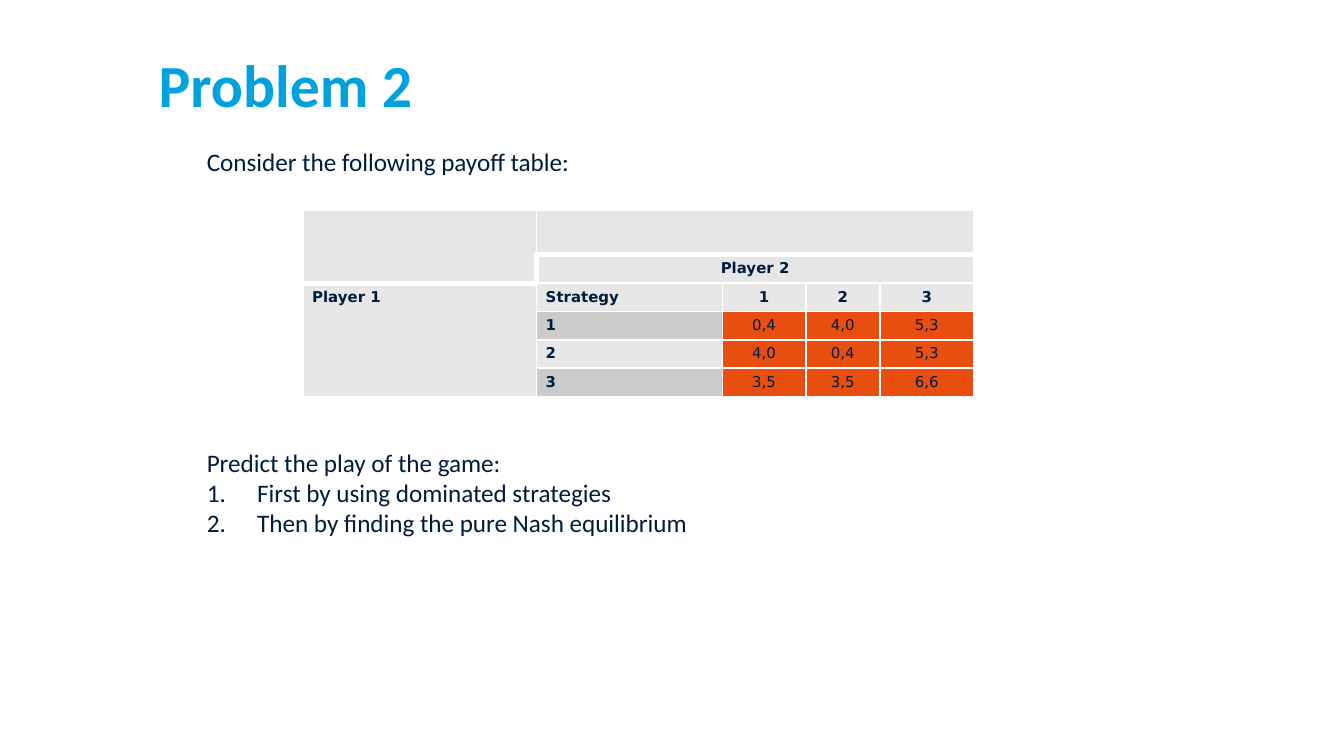
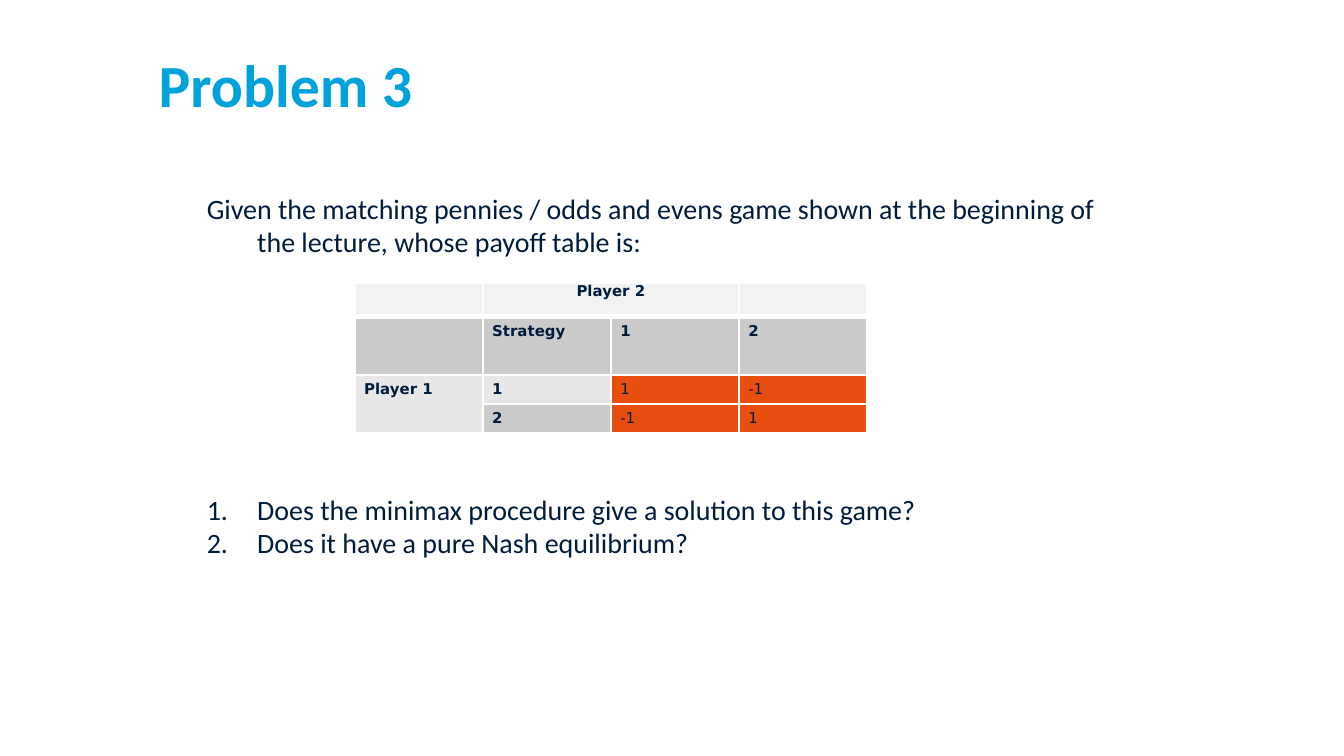
from lxml.etree import SubElement
from pptx import Presentation
from pptx.dml.color import RGBColor
from pptx.enum.text import MSO_ANCHOR, PP_ALIGN
from pptx.oxml.ns import qn
from pptx.util import Pt

TITLE_BLUE = "00A2DB"
NAVY = "001C3D"
WHITE = "FFFFFF"
CELL_FILLS = {"H": "E6E6E6", "T": "F2F2F2", "L": "E7E7E7", "D": "CBCBCB", "P": "E84E10"}
BODY_FONT = "Calibri"
TABLE_FONT = "DejaVu Sans"
TABLE_SIZE = 8
COLUMN_WIDTH = 492.5
INDENT = 27


def color(hex_string):
    return RGBColor.from_string(hex_string)


def add_span(para, text, font, size, ink, bold=False):
    span = para.add_run()
    span.text = text
    span.font.name = font
    span.font.size = Pt(size)
    span.font.bold = bold
    span.font.color.rgb = color(ink)


def add_frame(page, left, top, height):
    """Add a wrapping text box without insets and return its text frame."""
    box = page.shapes.add_textbox(Pt(left), Pt(top), Pt(COLUMN_WIDTH), Pt(height))
    frame = box.text_frame
    frame.word_wrap = True
    frame.margin_left = frame.margin_right = 0
    frame.margin_top = frame.margin_bottom = 0
    return frame


def add_title(page, text):
    frame = add_frame(page, 85, 22.3, 44.6)
    frame.vertical_anchor = MSO_ANCHOR.MIDDLE
    add_span(frame.paragraphs[0], text, BODY_FONT, 32, TITLE_BLUE, bold=True)


def add_body(page, top, size, lines):
    """Add lines given as (text, kind, space before); kind is plain, hanging or numbered."""
    frame = add_frame(page, 110.8, top, 263.5)
    for index, (text, kind, space_before) in enumerate(lines):
        para = frame.add_paragraph() if index else frame.paragraphs[0]
        para.line_spacing = 0.98
        para.space_before = Pt(space_before)
        if kind != "plain":
            properties = para._p.get_or_add_pPr()
            properties.set("marL", str(Pt(INDENT)))
            properties.set("indent", str(Pt(-INDENT)))
            if kind == "numbered":
                SubElement(properties, qn("a:buFont"), typeface="+mj-lt")
                SubElement(properties, qn("a:buAutoNum"), type="arabicPeriod")
        add_span(para, text, BODY_FONT, size, NAVY)


def set_borders(cell, thick_sides):
    properties = cell._tc.get_or_add_tcPr()
    for side in "LRTB":
        width = 3 if side in thick_sides else 1
        line = SubElement(properties, qn(f"a:ln{side}"), w=str(Pt(width)))
        fill = SubElement(line, qn("a:solidFill"))
        SubElement(fill, qn("a:srgbClr"), val=WHITE)


def add_payoff_table(page, left, top, widths, heights, texts, fills, merges,
                     thick_below, thick_left=(), centred_from=2,
                     margins=(2.7, 2.7), line_spacing=1.0):
    """Add a table; fills holds one CELL_FILLS key per cell, P marking a payoff."""
    table = page.shapes.add_table(
        len(heights), len(widths), Pt(left), Pt(top), Pt(sum(widths)), Pt(sum(heights))).table
    table.first_row = table.horz_banding = False
    for column, width in zip(table.columns, widths):
        column.width = Pt(width)
    for row, height in zip(table.rows, heights):
        row.height = Pt(height)
    for first, last in merges:
        table.cell(*first).merge(table.cell(*last))

    for row, row_fills in enumerate(fills):
        for column, key in enumerate(row_fills):
            cell = table.cell(row, column)
            sides = {"B": (row, column) in thick_below,
                     "T": (row - 1, column) in thick_below,
                     "L": (row, column) in thick_left,
                     "R": (row, column + 1) in thick_left}
            set_borders(cell, [side for side, thick in sides.items() if thick])
            cell.fill.solid()
            cell.fill.fore_color.rgb = color(CELL_FILLS[key])
            cell.margin_left = cell.margin_right = Pt(5)
            cell.margin_top, cell.margin_bottom = (Pt(margin) for margin in margins)
            para = cell.text_frame.paragraphs[0]
            text = texts.get((row, column))
            if text is None:
                SubElement(para._p, qn("a:endParaRPr"), sz=str(TABLE_SIZE * 100))
                continue
            spans_columns = cell.is_merge_origin and cell.span_width > 1
            if spans_columns or column >= centred_from:
                para.alignment = PP_ALIGN.CENTER
            if spans_columns and row == 0:
                cell.margin_top = cell.margin_bottom = 0
            else:
                para.line_spacing = line_spacing
            add_span(para, text, TABLE_FONT, TABLE_SIZE, NAVY, bold=key != "P")


def place_texts(first_row, first_column, rows):
    """Map a block of texts to (row, column) positions."""
    return {(first_row + row, first_column + column): text
            for row, line in enumerate(rows) for column, text in enumerate(line)}


def add_problem_2(page):
    add_body(page, 79.2, 13.5, [
        ("Consider the following payoff table:", "plain", 0),
        ("Predict the play of the game:", "plain", 145.6),
        ("First by using dominated strategies", "numbered", 0),
        ("Then by finding the pure Nash equilibrium", "numbered", 0),
    ])
    texts = place_texts(2, 1, [
        ["Strategy", "1", "2", "3"],
        ["1", "0,4", "4,0", "5,3"],
        ["2", "4,0", "0,4", "5,3"],
        ["3", "3,5", "3,5", "6,6"],
    ])
    texts.update({(1, 1): "Player 2", (2, 0): "Player 1"})
    add_payoff_table(
        page, 162.2, 112.5, [125.2, 99.6, 44.8, 39.6, 50.4], [24] + [15.2] * 5, texts,
        fills=["HHHHH", "HHHHH", "LLLLL", "LDPPP", "LLPPP", "LDPPP"],
        merges=[((0, 0), (1, 0)), ((0, 1), (0, 4)), ((1, 1), (1, 4)), ((2, 0), (5, 0))],
        thick_below={(0, column) for column in range(5)} | {(1, 0)},
        thick_left={(1, 1)})
    add_title(page, "Problem 2")


def add_problem_3(page):
    add_body(page, 103.7, 15, [
        ("Given the matching pennies / odds and evens game shown at the beginning of "
         "the lecture, whose payoff table is:", "hanging", 0),
        ("Does the minimax procedure give a solution to this game?", "numbered", 126),
        ("Does it have a pure Nash equilibrium?", "numbered", 0),
    ])
    texts = place_texts(1, 1, [
        ["Strategy", "1", "2"],
        ["1", "1", "-1"],
        ["2", "-1", "1"],
    ])
    texts.update({(0, 1): "Player 2", (2, 0): "Player 1"})
    add_payoff_table(
        page, 190.1, 151.5, [68.6] * 4, [18, 31.4, 15.6, 15.6], texts,
        fills=["TTTT", "DDDD", "LLPP", "LDPP"],
        merges=[((0, 1), (0, 2)), ((2, 0), (3, 0))],
        thick_below={(0, column) for column in range(4)},
        centred_from=4, margins=(3.6, 2.7), line_spacing=0.93)
    add_title(page, "Problem 3")


def main():
    deck = Presentation()
    deck.slide_width, deck.slide_height = Pt(720), Pt(405)
    for add_problem in (add_problem_2, add_problem_3):
        add_problem(deck.slides.add_slide(deck.slide_layouts[6]))
    deck.save("out.pptx")


if __name__ == "__main__":
    main()
